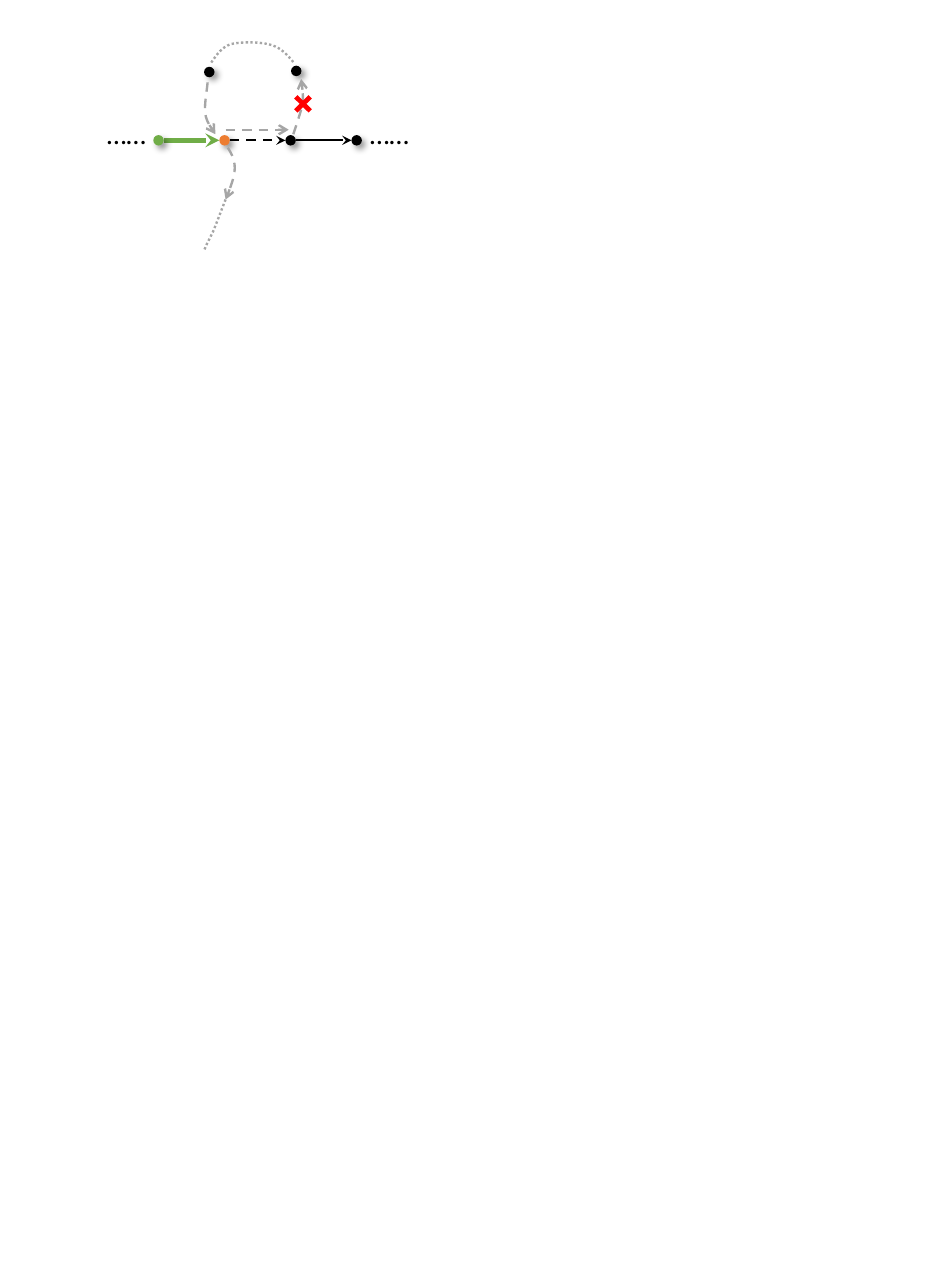
import pptx
import pptx.util
import pptx.dml.color
import pptx.enum.dml
import pptx.enum.shapes
import pptx.enum.text
import pptx.oxml
import pptx.oxml.ns

Pt = pptx.util.Pt
DASH = pptx.enum.dml.MSO_LINE.DASH
DOTS = pptx.enum.dml.MSO_LINE.ROUND_DOT
STRAIGHT = pptx.enum.shapes.MSO_CONNECTOR.STRAIGHT
COLORS = {"black": "000000", "green": "70AD47", "orange": "ED7D31",
          "gray": "A6A6A6", "red": "FF0000"}
NS = pptx.oxml.ns.nsdecls("a")

deck = pptx.Presentation()
deck.slide_width, deck.slide_height = Pt(595.44), Pt(822.24)
slide = deck.slides.add_slide(deck.slide_layouts[6])


def style_line(stroke, color, width, dash=None, arrow=None):
    stroke.line.color.rgb = pptx.dml.color.RGBColor.from_string(COLORS[color])
    stroke.line.width = Pt(width)
    if dash:
        stroke.line.dash_style = dash
    if arrow:
        stroke.line._get_or_add_ln().append(
            pptx.oxml.parse_xml(f'<a:tailEnd {NS} type="{arrow}"/>'))


def add_straight(shapes, start, end, color, width, dash=None, arrow=None):
    link = shapes.add_connector(STRAIGHT, *[Pt(v) for v in (*start, *end)])
    style_line(link, color, width, dash, arrow)
    link._element.spPr.append(pptx.oxml.parse_xml(f"<a:effectLst {NS}/>"))


radius = 3.35
chain_y = 89.6
chain_x = [101.2 + 42.15 * step for step in range(4)]
chain_links = [("green", 3, None), ("black", 1.5, DASH), ("black", 1.5, None)]
for left, right, (color, width, dash) in zip(chain_x, chain_x[1:], chain_links):
    add_straight(slide.shapes, (left + radius, chain_y), (right - radius, chain_y),
                 color, width, dash, "stealth")

nodes = [(x, chain_y, color)
         for x, color in zip(chain_x, ("green", "orange", "black", "black"))]
nodes += [(133.6, 46, "black"), (189.1, 45.3, "black")]
for x, y, color in nodes:
    node = slide.shapes.add_shape(
        pptx.enum.shapes.MSO_SHAPE.OVAL, Pt(x - radius), Pt(y - radius),
        Pt(2 * radius), Pt(2 * radius))
    node.fill.solid()
    node.fill.fore_color.rgb = pptx.dml.color.RGBColor.from_string(COLORS[color])
    node.line.fill.background()
    node.shadow.inherit = False
    node._element.spPr.find(pptx.oxml.ns.qn("a:effectLst")).append(
        pptx.oxml.parse_xml(
            f'<a:outerShdw {NS} blurRad="{Pt(4)}" dist="{Pt(3)}" dir="2700000" '
            f'algn="tl" rotWithShape="0"><a:srgbClr val="{COLORS["black"]}">'
            '<a:alpha val="40000"/></a:srgbClr></a:outerShdw>'))

for ellipsis_left in (61.2, 229):
    ellipsis = slide.shapes.add_textbox(Pt(ellipsis_left), Pt(70.6), Pt(40.3), Pt(28.8))
    ellipsis.text_frame.text = "……"
    ellipsis.text_frame.word_wrap = False
    ellipsis.text_frame.auto_size = pptx.enum.text.MSO_AUTO_SIZE.SHAPE_TO_FIT_TEXT
    font = ellipsis.text_frame.paragraphs[0].runs[0].font
    font.name, font.size = "Calibri", Pt(18)
    font.color.rgb = pptx.dml.color.RGBColor.from_string(COLORS["black"])

add_straight(slide.shapes, (144, 82.8), (184.3, 82.8), "gray", 1.5, DASH, "arrow")

detours = [
    ([(187.2, 85.7), (189.4, 79.2), (191.5, 72.7), (193, 67),
      (193.7, 61.2), (193, 55.4), (192.2, 50.4)], DASH, "arrow"),
    ([(187.2, 39.6), (183.6, 35.3), (180, 31), (173.5, 28.8),
      (167, 26.6), (154.1, 26.6), (147.6, 28.1),
      (141.1, 30.2), (138.2, 35.3), (134.6, 40.3)], DOTS, None),
    ([(132.5, 52.6), (131.8, 59.8), (130.3, 67), (131, 72.7),
      (131.8, 77.8), (134.6, 81.4), (137.5, 85.7)], DASH, "arrow"),
    ([(145.4, 94.3), (147.6, 97.9), (149.8, 101.5), (149.8, 107.3),
      (149.8, 113), (146.9, 120.2), (144, 127.4)], DASH, "arrow"),
    ([(144, 127.4), (141.1, 134.6), (138.2, 142.6), (136.1, 147.6),
      (133.2, 153.4), (131.8, 156.2), (130.3, 159.8)], DOTS, None),
]
steps = 8
for controls, dash, arrow in detours:
    curve = []
    for first in range(0, len(controls) - 1, 3):
        for step in range(1, steps + 1):
            t = step / steps
            weights = ((1 - t) ** 3, 3 * t * (1 - t) ** 2, 3 * t ** 2 * (1 - t), t ** 3)
            curve.append([Pt(sum(w * point[axis] for w, point in
                                 zip(weights, controls[first:first + 4])))
                          for axis in (0, 1)])
    builder = slide.shapes.build_freeform(Pt(controls[0][0]), Pt(controls[0][1]))
    builder.add_line_segments(curve, close=False)
    detour = builder.convert_to_shape()
    detour.fill.background()
    detour.shadow.inherit = False
    style_line(detour, "gray", 1.5, dash, arrow)

cross = slide.shapes.add_group_shape()
for start_x, end_x in ((188.8, 198), (198, 188.8)):
    add_straight(cross.shapes, (start_x, 61.8), (end_x, 70.8), "red", 3)

deck.save("out.pptx")
